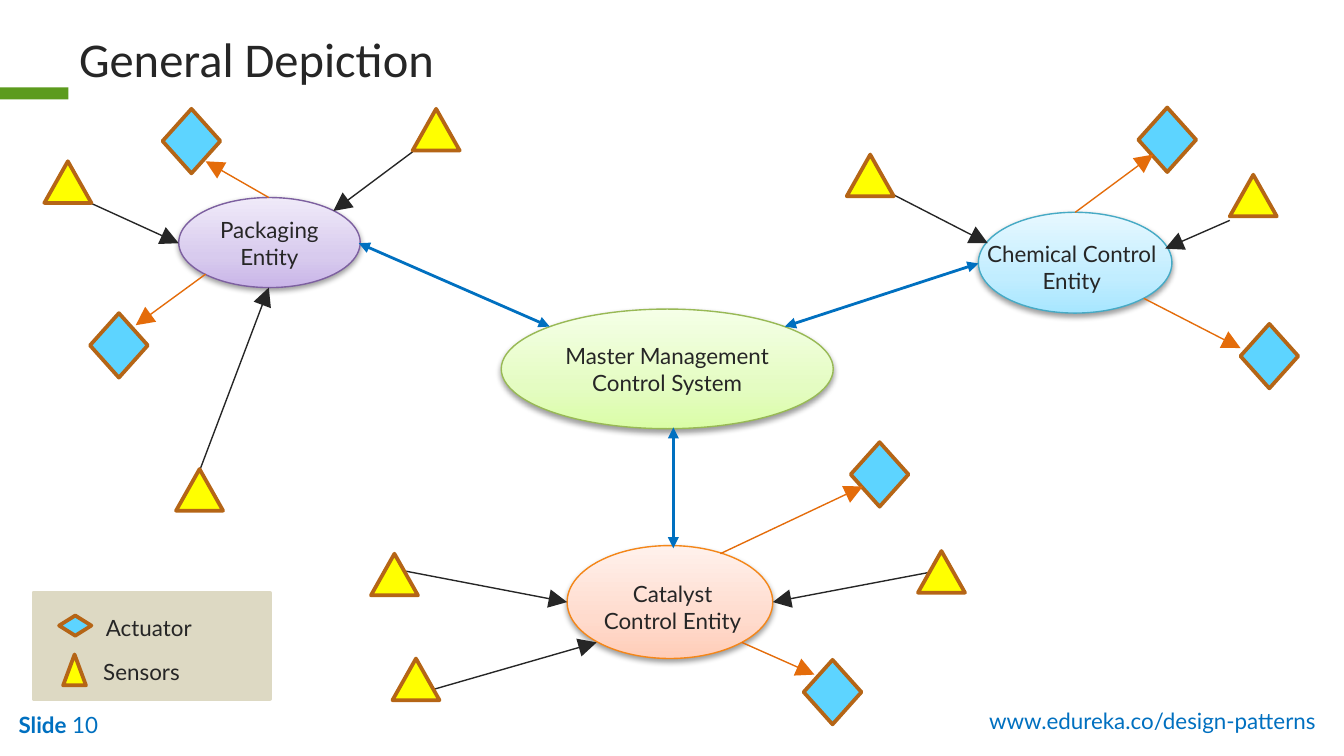
from copy import deepcopy

from pptx import Presentation
from pptx.dml.color import RGBColor
from pptx.enum.shapes import MSO_CONNECTOR, MSO_SHAPE
from pptx.enum.text import MSO_ANCHOR, PP_ALIGN
from pptx.oxml import parse_xml
from pptx.oxml.ns import nsdecls, qn
from pptx.util import Inches, Pt

COLS, ROWS = 100, 56.25  # slide grid; every length below is in grid cells
CELL = Inches(10) / COLS

GREEN = RGBColor(0x5C, 0x9B, 0x1D)
BLUE = RGBColor(0x00, 0x70, 0xC0)
ORANGE = RGBColor(0xE4, 0x6C, 0x0A)
DARK = RGBColor(0x26, 0x26, 0x26)
SAND = RGBColor(0xDD, 0xD9, 0xC3)
YELLOW = RGBColor(0xFF, 0xFF, 0x00)
SKY = RGBColor(0x5D, 0xD4, 0xFF)
BROWN = RGBColor(0xB5, 0x65, 0x16)

# Outline colour, then gradient colours from bottom to top
LIME_SET = [RGBColor.from_string(c) for c in ("98B955", "DAFDA7", "E4FCC2", "F5FFE7")]
PURPLE_SET = [RGBColor.from_string(c) for c in ("7D60A0", "C9B5E8", "D8CBEE", "F0EAF9")]
AQUA_SET = [RGBColor.from_string(c) for c in ("46AAC5", "A7E6FF", "C1EDFF", "E7F8FF")]
PEACH_SET = [RGBColor.from_string(c) for c in ("F48618", "FFCDB8", "FFDBCD", "FFF1EC")]

ACTUATOR_SIZE = (4.3, 4.8)
SENSOR_SIZE = (3.5, 3.1)


def cells(*values):
    return [round(v * CELL) for v in values]


def add_shape(s, kind, box, fill, line=None, width=2):
    sp = s.shapes.add_shape(kind, *cells(*box))
    sp.shadow.inherit = False
    sp.fill.solid()
    sp.fill.fore_color.rgb = fill
    if line is None:
        sp.line.fill.background()
    else:
        sp.line.color.rgb = line
        sp.line.width = Pt(width)
    return sp


def add_actuator(s, left, top, size=ACTUATOR_SIZE):
    add_shape(s, MSO_SHAPE.DIAMOND, (left, top, *size), SKY, BROWN)


def add_sensor(s, left, top, size=SENSOR_SIZE):
    add_shape(s, MSO_SHAPE.ISOSCELES_TRIANGLE, (left, top, *size), YELLOW, BROWN)


def add_runs(p, runs, size=12, font="Lato", color=DARK):
    """Runs are (text, bold) pairs."""
    for text, bold in runs:
        r = p.add_run()
        r.text = text
        r.font.size = Pt(size)
        r.font.name = font
        r.font.bold = bold
        r.font.color.rgb = color


def add_text(s, box, lines, align=PP_ALIGN.LEFT, **style):
    tf = s.shapes.add_textbox(*cells(*box)).text_frame
    tf.word_wrap = True
    for i, line in enumerate(lines):
        p = tf.add_paragraph() if i else tf.paragraphs[0]
        p.alignment = align
        add_runs(p, line if isinstance(line, list) else [(line, False)], **style)


def add_arrow(s, start, end, color, width=0.75, tips=("tailEnd",), tip_size="lg"):
    c = s.shapes.add_connector(MSO_CONNECTOR.STRAIGHT, *cells(*start, *end))
    c.line.color.rgb = color
    c.line.width = Pt(width)
    ln = c._element.spPr.find(qn("a:ln"))
    for tip in tips:
        ln.append(parse_xml(f'<a:{tip} {nsdecls("a")} type="triangle" '
                            f'w="{tip_size}" len="{tip_size}"/>'))
    c._element.spPr.append(parse_xml(f'<a:effectLst {nsdecls("a")}/>'))


def add_ellipse(s, box, colors):
    """Ellipse with a three-stop vertical gradient and a soft shadow below."""
    outline, *shades = colors
    sp = add_shape(s, MSO_SHAPE.OVAL, box, shades[0], outline, 0.75)
    sp.fill.gradient()
    sp.fill.gradient_angle = 90
    spPr = sp._element.spPr
    stops = spPr.find(f'.//{qn("a:gsLst")}')
    stops.append(deepcopy(stops[-1]))
    for stop, position, shade in zip(sp.fill.gradient_stops, (0, 0.35, 1), shades):
        stop.position = position
        stop.color.rgb = shade
    spPr.find(qn("a:effectLst")).append(parse_xml(
        f'<a:outerShdw {nsdecls("a")} blurRad="{Pt(3.1)}" dist="{Pt(1.6)}" dir="5400000" '
        'rotWithShape="0"><a:srgbClr val="000000"><a:alpha val="38000"/></a:srgbClr>'
        '</a:outerShdw>'))
    return sp


def add_master(s, box):
    tf = add_ellipse(s, box, LIME_SET).text_frame
    tf.word_wrap = True
    tf.vertical_anchor = MSO_ANCHOR.MIDDLE
    tf.paragraphs[0].alignment = PP_ALIGN.CENTER
    add_runs(tf.paragraphs[0], [("Master Management Control System", False)])


def add_entity(s, box, colors, label_box, label, link, actuators, sensors):
    """Entity with its devices; all positions are offsets from the box corner.

    Each device is (corner, arrow start, arrow end); link is (start, end).
    """
    def at(point):
        return box[0] + point[0], box[1] + point[1]

    add_ellipse(s, box, colors)
    add_arrow(s, at(link[0]), at(link[1]), BLUE, 1.5, ("headEnd", "tailEnd"), "med")
    for corner, start, end in actuators:
        add_actuator(s, *at(corner))
        add_arrow(s, at(start), at(end), ORANGE)
    for corner, start, end in sensors:
        add_arrow(s, at(start), at(end), DARK)
        add_sensor(s, *at(corner))
    add_text(s, (*at(label_box[:2]), *label_box[2:]), label, PP_ALIGN.CENTER)


def add_legend(s, box):
    x, y = box[:2]
    add_shape(s, MSO_SHAPE.RECTANGLE, box, SAND, SAND)
    add_actuator(s, x + 1.9, y + 1.7, (2.4, 1.5))
    add_sensor(s, x + 2.2, y + 4.6, (1.7, 2.3))
    add_text(s, (x + 4.4, y + 1.1, 11.3, 3), ["Actuator"])
    add_text(s, (x + 4.2, y + 4.4, 11.3, 3), ["Sensors"])


def add_frame(s):
    """Title, accent bar and footer."""
    add_shape(s, MSO_SHAPE.RECTANGLE, (0, 6.5, 5.1, 0.9), GREEN)
    add_text(s, (4.9, 1.7, 72.6, 4.8), ["General Depiction"], size=26, font="Calibri")
    add_text(s, (0.4, 52.4, 15.8, 3), [[("Slide ", True), ("10", False)]], color=BLUE)
    add_text(s, (56.2, 52.1, 42.7, 3), ["www.edureka.co/design-patterns"],
             PP_ALIGN.RIGHT, color=BLUE)


def main():
    prs = Presentation()
    prs.slide_width, prs.slide_height = cells(COLS, ROWS)
    s = prs.slides.add_slide(prs.slide_layouts[6])
    add_frame(s)
    add_legend(s, (2.5, 44.1, 17.6, 7.9))
    add_master(s, (37.3, 23, 24.7, 8.9))
    add_entity(
        s, (13.3, 14.7, 13.5, 6.7), PURPLE_SET,
        (0.3, 0.9, 12.9, 5), ["Packaging Entity"],
        link=((13.4, 3.4), (27.6, 9.6)),
        actuators=[((-1.2, -6.6), (6.7, 0), (2, -2.7)),
                   ((-6.6, 8.6), (2, 5.7), (-3.2, 9.5))],
        sensors=[((-10, -2.7), (-6.8, 0.3), (0, 3.4)),
                 ((17.4, -6.6), (17.4, -3.4), (11.5, 1)),
                 ((-0.2, 20.2), (1.6, 20.2), (6.7, 6.7))])
    add_entity(
        s, (72.8, 15.8, 14.4, 7.5), AQUA_SET,
        (-1.1, 1.6, 16.1, 5), ["Chemical Control", "Entity"],
        link=((0, 3.8), (-14.4, 8.5)),
        actuators=[((11.9, -7.8), (7.2, 0), (13, -4.3)),
                   ((19.5, 8.3), (12.3, 6.4), (19.5, 10.1))],
        sensors=[((-9.8, -4.3), (-6.3, -1.3), (0.7, 2.3)),
                 ((18.7, -2.8), (18.7, 0.6), (13.9, 2.7))])
    add_entity(
        s, (42.2, 40.6, 15.3, 8.4), PEACH_SET,
        (1, 2.1, 13.7, 5), ["Catalyst Control Entity"],
        link=((7.9, -8.8), (7.9, 0.2)),
        actuators=[((21.1, -7.7), (11.4, 0.6), (22, -4.4)),
                   ((17.6, 8.5), (13, 7.2), (18.4, 9.6))],
        sensors=[((26.1, 0.4), (26.9, 2), (15.3, 4.2)),
                 ((-14.6, 0.6), (-12, 1.9), (0, 4.2)),
                 ((-13, 8.4), (-10.3, 10.8), (2.2, 7.2))])
    prs.save("out.pptx")


if __name__ == "__main__":
    main()
